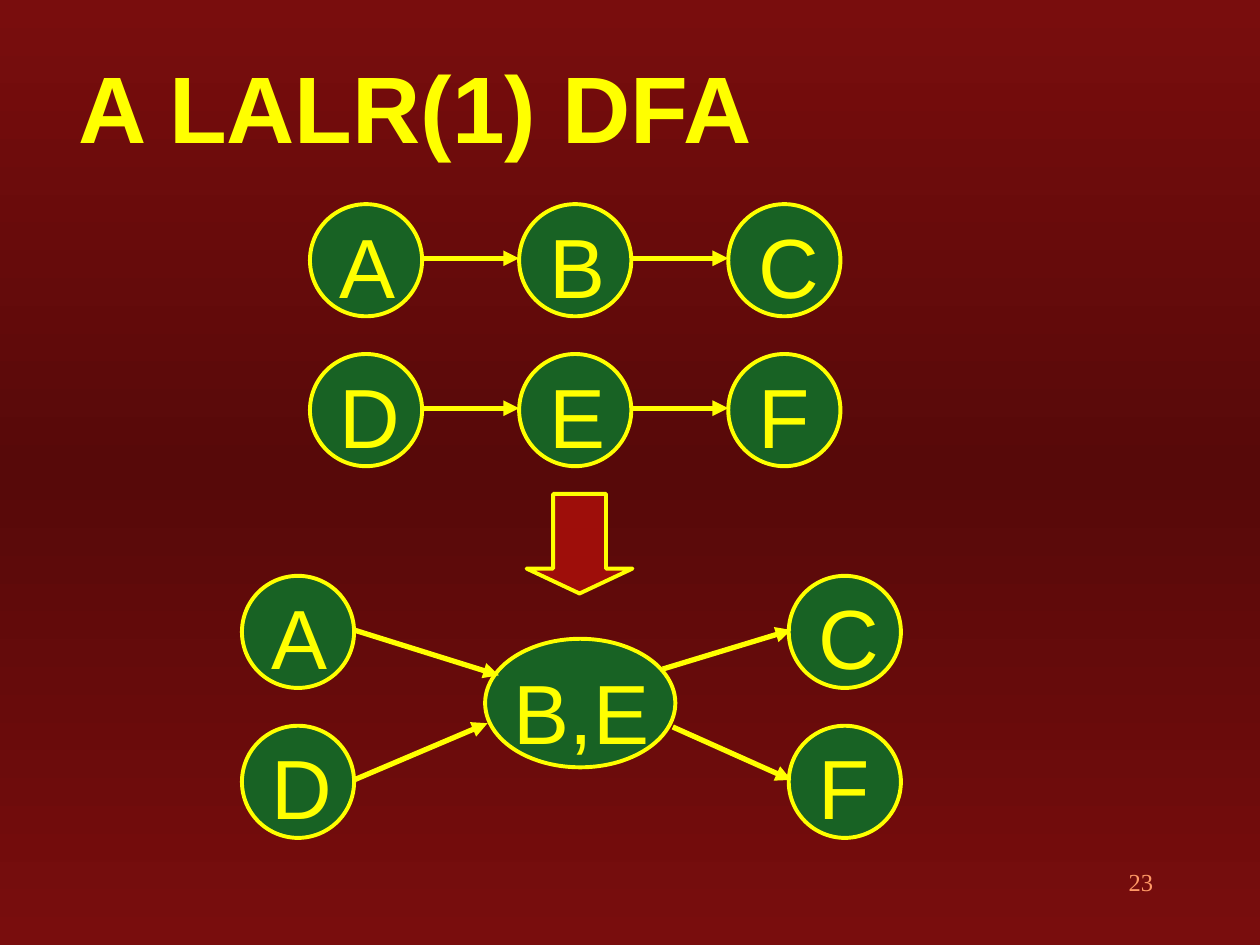
from copy import deepcopy

from lxml import etree
from pptx import Presentation
from pptx import util as u
from pptx.dml.color import RGBColor
from pptx.enum import shapes, text
from pptx.oxml.ns import qn

COLORS = {"edge": "790D0D", "middle": "570909", "yellow": "FFFF00",
          "green": "186224", "red": "9E0E0A", "number": "FF9966",
          "shadow": "C0E0F0"}

TITLE = "A LALR(1) DFA"
PAGE_NUMBER = "23"
CHAINS = ["ABC", "DEF"]
MERGED_ENDS = [("A", "C"), ("D", "F")]
MERGED_STATE = "B,E"

DIAMETER = 0.89
ROW_STEP = 1.19
PORT = 0.43                      # height of arrow ends below a circle's top
CHAIN_LEFT, CHAIN_TOP, CHAIN_STEP = 2.46, 1.62, 1.66
START_LEFT, FINAL_LEFT, MERGED_TOP = 1.92, 6.26, 4.57
MERGED_BOX = (3.85, 5.07, 1.51, 1.02)
# Where the arrows of each row meet the merged state: (incoming, outgoing)
MERGED_PORTS = [((3.96, 5.36), (5.26, 5.31)), ((3.87, 5.74), (5.34, 5.77))]


def rgb(name):
    return RGBColor.from_string(COLORS[name])


def inches(*lengths):
    return [u.Inches(length) for length in lengths]


def style_font(font, size, color, name="Arial", bold=False):
    font.size, font.name, font.bold = u.Pt(size), name, bold
    font.color.rgb = rgb(color)


def paint(shape, fill):
    shape.shadow.inherit = False
    shape.fill.solid()
    shape.fill.fore_color.rgb = rgb(fill)
    shape.line.color.rgb = rgb("yellow")
    shape.line.width = u.Pt(2.25)


def add_state(page, label, box, label_box):
    """Group an ellipse with its label."""
    group = page.shapes.add_group_shape()
    ellipse = group.shapes.add_shape(shapes.MSO_SHAPE.OVAL, *inches(*box))
    paint(ellipse, "green")
    caption = group.shapes.add_textbox(*inches(*label_box))
    frame = caption.text_frame
    frame.word_wrap = True
    frame.margin_top = u.Inches(0.11)
    frame.text = label
    style_font(frame.paragraphs[0].runs[0].font, 48, "yellow")


def add_circle(page, label, left, top):
    add_state(page, label, (left, top, DIAMETER, DIAMETER),
              (left + 0.14, top - 0.03, 0.94, 0.9))


def add_arrow(page, start, end):
    arrow = page.shapes.add_connector(
        shapes.MSO_CONNECTOR.STRAIGHT, *inches(*start, *end))
    arrow.line.color.rgb = rgb("yellow")
    arrow.line.width = u.Pt(3)
    line = arrow.line._get_or_add_ln()
    etree.SubElement(line, qn("a:tailEnd"), type="triangle")
    etree.SubElement(arrow._element.spPr, qn("a:effectLst"))


def add_background(page):
    fill = page.background.fill
    fill.gradient()
    fill.gradient_angle = 90
    for stop in fill.gradient_stops:
        stop.color.rgb = rgb("edge")
    stops = page._element.find(".//" + qn("a:gsLst"))
    stops.insert(1, deepcopy(stops[0]))
    for stop, position in zip(fill.gradient_stops, (0, 0.5, 1)):
        stop.position = position
    fill.gradient_stops[1].color.rgb = rgb("middle")


def add_title(page):
    title = page.shapes.title
    title.left, title.top, title.width, title.height = inches(0.52, 0.42, 10, 0.83)
    frame = title.text_frame
    frame.text = TITLE
    frame.vertical_anchor = text.MSO_ANCHOR.MIDDLE
    para = frame.paragraphs[0]
    para.alignment = text.PP_ALIGN.LEFT
    span = para.runs[0]
    style_font(span.font, 54, "yellow", bold=True)
    effects = etree.Element(qn("a:effectLst"))
    shadow = etree.SubElement(effects, qn("a:outerShdw"),
                              dist="17780", dir="2700000")
    etree.SubElement(shadow, qn("a:srgbClr"), val=COLORS["shadow"])
    span._r.rPr.find(qn("a:solidFill")).addnext(effects)


def add_chains(page):
    for row, chain in enumerate(CHAINS):
        top = CHAIN_TOP + row * ROW_STEP
        for column, label in enumerate(chain):
            left = CHAIN_LEFT + column * CHAIN_STEP
            add_circle(page, label, left, top)
            if column:
                add_arrow(page, (left - CHAIN_STEP + DIAMETER, top + PORT),
                          (left, top + PORT))


def add_merged(page):
    left, top, width, height = MERGED_BOX
    add_state(page, MERGED_STATE, MERGED_BOX,
              (left + 0.13, top + 0.06, 1.37, 0.9))
    for row, (first, last) in enumerate(MERGED_ENDS):
        top = MERGED_TOP + row * ROW_STEP
        add_circle(page, first, START_LEFT, top)
        add_circle(page, last, FINAL_LEFT, top)
        incoming, outgoing = MERGED_PORTS[row]
        add_arrow(page, (START_LEFT + DIAMETER, top + PORT), incoming)
        add_arrow(page, outgoing, (FINAL_LEFT + 0.02, top + PORT))


def add_block_arrow(page):
    arrow = page.shapes.add_shape(
        shapes.MSO_SHAPE.DOWN_ARROW, *inches(4.18, 3.92, 0.84, 0.79))
    arrow.adjustments[0], arrow.adjustments[1] = 0.5, 0.25
    paint(arrow, "red")


def add_page_number(page):
    box = page.shapes.add_textbox(*inches(7.17, 6.83, 2.08, 0.5))
    box.text_frame.word_wrap = True
    box.text_frame.text = PAGE_NUMBER
    para = box.text_frame.paragraphs[0]
    para.alignment = text.PP_ALIGN.RIGHT
    style_font(para.runs[0].font, 14, "number", "Times New Roman")


def main():
    deck = Presentation()
    deck.slide_width, deck.slide_height = inches(10, 7.5)
    page = deck.slides.add_slide(deck.slide_layouts[5])
    add_background(page)
    add_title(page)
    add_chains(page)
    add_merged(page)
    add_block_arrow(page)
    add_page_number(page)
    deck.save("out.pptx")


if __name__ == "__main__":
    main()
